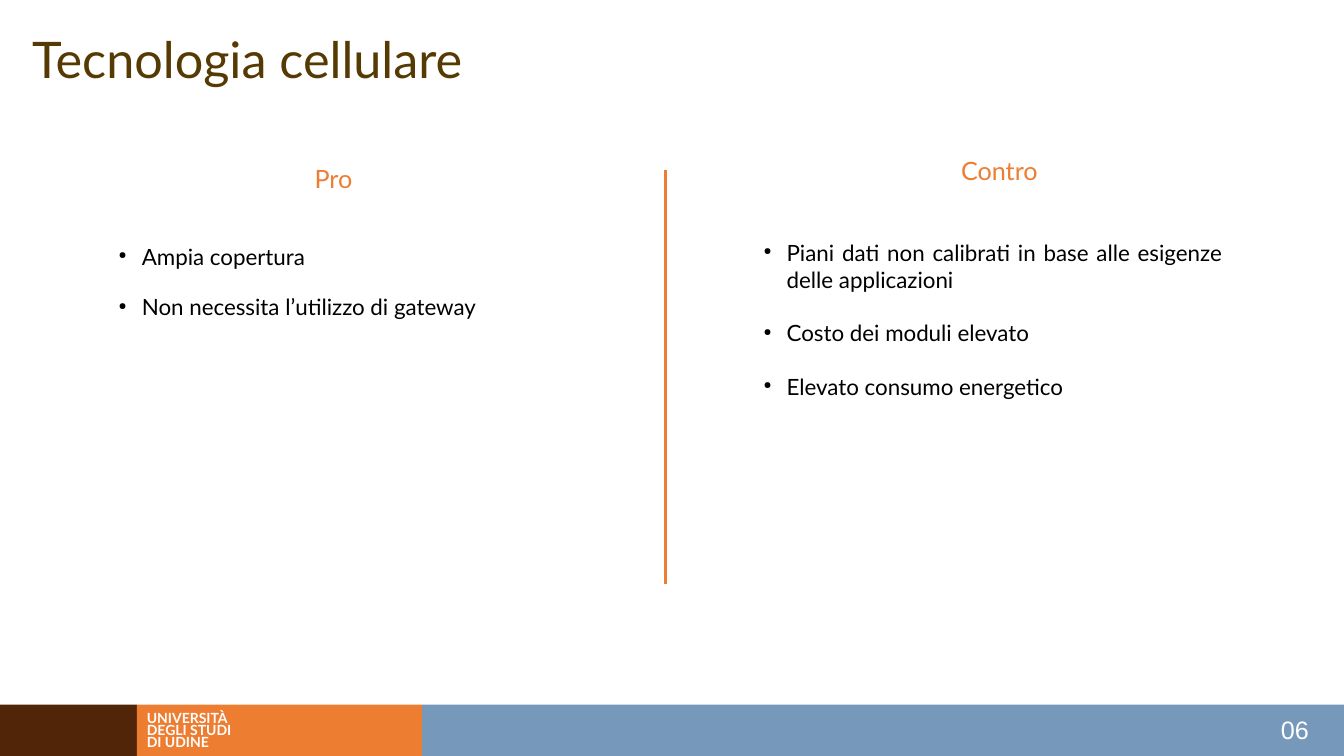
from lxml.etree import SubElement
from pptx import Presentation
from pptx.dml.color import RGBColor
from pptx.enum.shapes import MSO_CONNECTOR, MSO_SHAPE
from pptx.enum.text import MSO_AUTO_SIZE, PP_ALIGN
from pptx.oxml.ns import qn
from pptx.util import Inches, Pt

COLORS = {
    "brown": "512508",
    "orange": "ED7D31",
    "blue": "7698BB",
    "title": "563A03",
    "white": "FFFFFF",
    "black": "000000",
}
BULLET_INDENT = Inches(0.23)


class SlideBuilder:
    def __init__(self, slide, font="Lato"):
        self.slide = slide
        self.font = font

    def color(self, name):
        return RGBColor.from_string(COLORS[name])

    def band(self, left, top, width, height, color):
        band = self.slide.shapes.add_shape(
            MSO_SHAPE.RECTANGLE, *map(Inches, (left, top, width, height)))
        band.shadow.inherit = False
        band.fill.solid()
        band.fill.fore_color.rgb = self.color(color)
        band.line.fill.background()

    def divider(self, x, top, bottom, color, weight):
        divider = self.slide.shapes.add_connector(
            MSO_CONNECTOR.STRAIGHT, *map(Inches, (x, top, x, bottom)))
        divider.line.color.rgb = self.color(color)
        divider.line.width = Pt(weight)
        SubElement(divider._element.spPr, qn("a:effectLst"))

    def text(self, box, lines, size, color, font=None, bold=None, **layout):
        """Add one paragraph per line and return the paragraphs."""
        frame = self.slide.shapes.add_textbox(*map(Inches, box)).text_frame
        frame.word_wrap = True
        frame.auto_size = MSO_AUTO_SIZE.SHAPE_TO_FIT_TEXT
        frame.text = "\n".join(lines)
        run_format = {"name": font or self.font, "size": Pt(size), "bold": bold}
        for paragraph in frame.paragraphs:
            for key, value in layout.items():
                setattr(paragraph, key, value)
            run_font = paragraph.runs[0].font
            for key, value in run_format.items():
                setattr(run_font, key, value)
            run_font.color.rgb = self.color(color)
        return frame.paragraphs

    def bullets(self, box, items, **later_layout):
        """Add a justified list; later_layout applies after the first item."""
        paragraphs = self.text(box, items, 16, "black", alignment=PP_ALIGN.JUSTIFY)
        for paragraph in paragraphs:
            properties = paragraph._p.get_or_add_pPr()
            properties.set("marL", str(BULLET_INDENT))
            properties.set("indent", str(-BULLET_INDENT))
            bullet_color = SubElement(properties, qn("a:buClr"))
            SubElement(bullet_color, qn("a:srgbClr"), val=COLORS["black"])
            SubElement(properties, qn("a:buSzPct"), val="45000")
            SubElement(properties, qn("a:buChar"), char="●")
        for paragraph in paragraphs[1:]:
            for key, value in later_layout.items():
                setattr(paragraph, key, value)
        return paragraphs


def main():
    deck = Presentation()
    deck.slide_width, deck.slide_height = Inches(13.34), Inches(7.5)
    builder = SlideBuilder(deck.slides.add_slide(deck.slide_layouts[6]))

    left = 0
    for width, color in ((1.36, "brown"), (2.83, "orange"), (9.15, "blue")):
        builder.band(left, 6.99, width, 0.51, color)
        left += width
    builder.text((1.36, 7.04, 2.43, 0.45), ["UNIVERSITÀ", "DEGLI STUDI", "DI UDINE"],
                 10, "white", bold=True, line_spacing=Pt(8.4))
    builder.text((12.43, 7.04, 0.66, 0.4), ["06"], 18, "white", font="Arial",
                 alignment=PP_ALIGN.RIGHT)

    builder.text((0.22, 0.23, 9.37, 0.7), ["Tecnologia cellulare"], 36, "title")
    for heading, x, y in (("Pro", 0.16, 1.57), ("Contro", 6.77, 1.49)):
        builder.text((x, y, 6.3, 0.4), [heading], 18, "orange",
                     alignment=PP_ALIGN.CENTER)
    builder.divider(6.61, 1.69, 5.79, "orange", 2.25)

    builder.bullets((1.08, 2.36, 4.75, 0.87),
                    ["Ampia copertura", "Non necessita l’utilizzo di gateway"],
                    space_before=Pt(17))
    builder.bullets((7.48, 2.32, 4.75, 1.7),
                    ["Piani dati non calibrati in base alle esigenze delle applicazioni",
                     "Costo dei moduli elevato",
                     "Elevato consumo energetico"],
                    line_spacing=2.0)
    deck.save("out.pptx")


if __name__ == "__main__":
    main()
